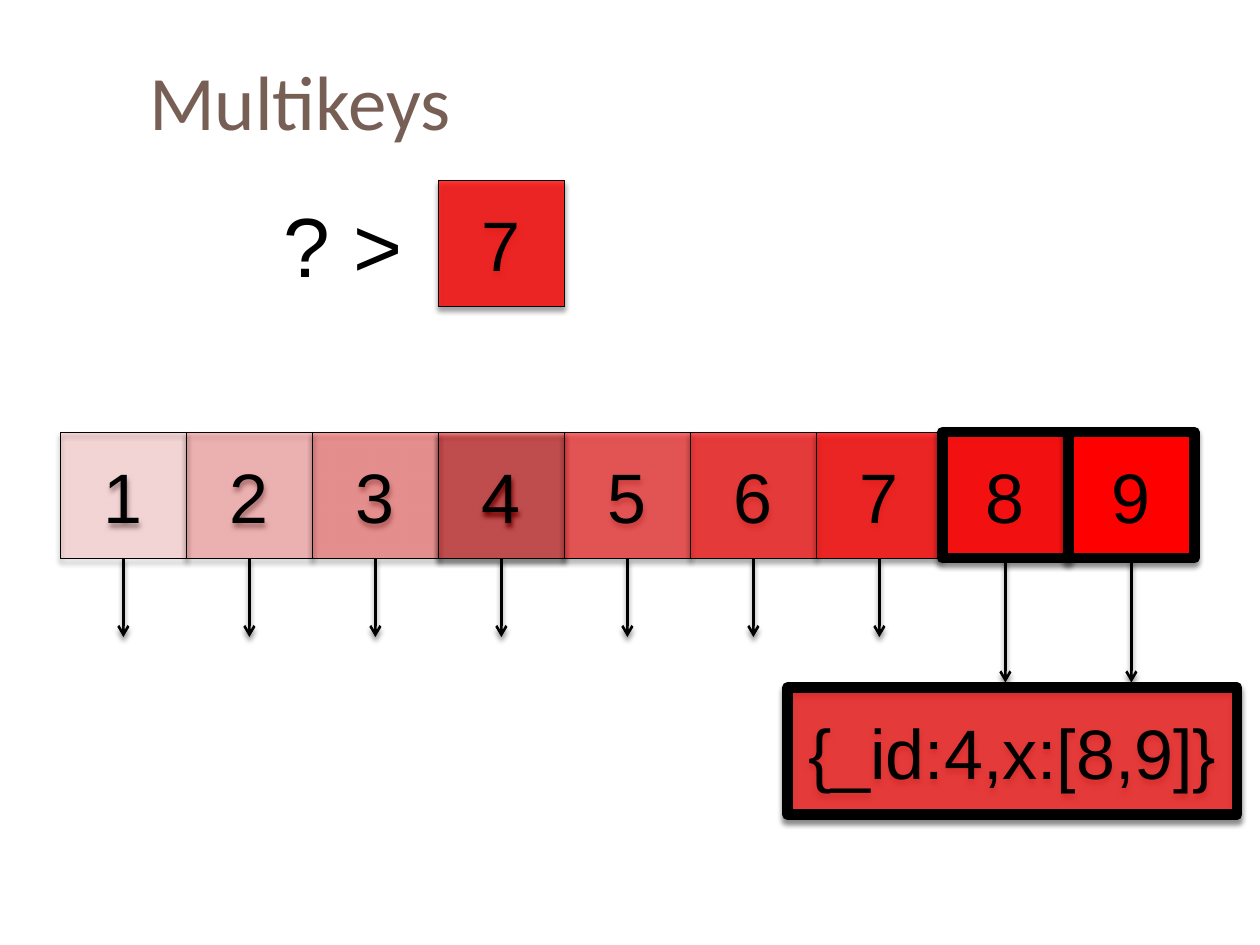
from lxml import etree
from pptx import Presentation
from pptx.dml.color import RGBColor
from pptx.enum.shapes import MSO_CONNECTOR, MSO_SHAPE
from pptx.enum.text import MSO_ANCHOR, PP_ALIGN
from pptx.oxml.ns import qn
from pptx.util import Pt

RECT = MSO_SHAPE.RECTANGLE
LINE = MSO_CONNECTOR.STRAIGHT
MID = MSO_ANCHOR.MIDDLE
LEFT, MIDDLE = PP_ALIGN.LEFT, PP_ALIGN.CENTER
BOTTOM = 2
HEX = {"red": "FF0000", "ink": "000000", "title": "775F55"}
SIDE = 72
THIN, THICK = 0.75, 6


def tint(name):
    return RGBColor.from_string(HEX[name])


def add_node(node, tag, **attrs):
    return etree.SubElement(node, qn(tag), attrs)


def set_text(shape, text, size, font="Arial", color="ink", align=MIDDLE, **frame):
    body = shape.text_frame
    for key, value in frame.items():
        setattr(body, key, value)
    para = body.paragraphs[0]
    para.alignment = align
    run = para.add_run()
    run.text = text
    for key, value in {"name": font, "size": Pt(size), "bold": False}.items():
        setattr(run.font, key, value)
    run.font.color.rgb = tint(color)


def set_line(shape, width):
    shape.line.color.rgb = tint("ink")
    shape.line.width = Pt(width)


def add_shadow(shape):
    props = shape._element.spPr
    effects = props.find(qn("a:effectLst"))
    if effects is None:
        effects = add_node(props, "a:effectLst")
    shade = add_node(effects, "a:outerShdw", blurRad=str(Pt(3)), dist=str(Pt(2.4)),
                     dir="5400000", rotWithShape="0")
    color = add_node(shade, "a:srgbClr", val=HEX["ink"])
    add_node(color, "a:alpha", val="45000")


def add_box(slide, box, text, alpha, width):
    shape = slide.shapes.add_shape(RECT, *map(Pt, box))
    shape.fill.solid()
    shape.fill.fore_color.rgb = tint("red")
    color = shape._element.spPr.find(qn("a:solidFill"))[0]
    add_node(color, "a:alpha", val=str(alpha * 1000))
    set_line(shape, width)
    shape.shadow.inherit = False
    add_shadow(shape)
    set_text(shape, text, 40, vertical_anchor=MID, word_wrap=False)
    return shape


def add_arrow(slide, cell, end):
    x = cell.left + cell.width // 2
    arrow = slide.shapes.add_connector(LINE, x, cell.top + cell.height, x, Pt(end))
    arrow.begin_connect(cell, BOTTOM)
    set_line(arrow, 1.5)
    add_node(arrow.line._get_or_add_ln(), "a:tailEnd", type="arrow")
    add_shadow(arrow)


def add_title(slide, box):
    title = slide.shapes.title
    for key, value in zip(("left", "top", "width", "height"), box):
        setattr(title, key, Pt(value))
    set_text(title, "Multikeys", 44, "Calibri", "title", LEFT, vertical_anchor=MID)


def add_query(slide, box):
    x, y, w, h = box
    label = slide.shapes.add_textbox(*map(Pt, (x, y + 4, w - SIDE - 12, h - 6)))
    set_text(label, "? >", 48, align=LEFT, word_wrap=False)
    add_box(slide, (x + w - SIDE, y, SIDE, SIDE), "7", 78, THIN)


def add_index(slide, box, hits, stop, goal):
    x, y, w, h = box
    count = round(w / SIDE)
    cells = []
    for i in range(count):
        key = i + 1
        alpha = 100 if key == count else 12 + 11 * i
        width = THICK if key in hits else THIN
        cells.append(add_box(slide, (x + i * SIDE, y, SIDE, h), str(key), alpha, width))
    for key, cell in enumerate(cells, 1):
        add_arrow(slide, cell, goal if key in hits else stop)


def main():
    deck = Presentation()
    deck.slide_width, deck.slide_height = Pt(720), Pt(540)
    slide = deck.slides.add_slide(deck.slide_layouts[5])
    add_title(slide, (78, 18, 642, 78))
    add_query(slide, (155, 103, 167.5, SIDE))
    add_box(slide, (450, 393, 257, 72.5), "{_id:4,x:[8,9]}", 67, THICK)
    add_index(slide, (34.5, 247, 9 * SIDE, SIDE), {8, 9}, 364, 390)
    deck.save("out.pptx")


if __name__ == "__main__":
    main()
